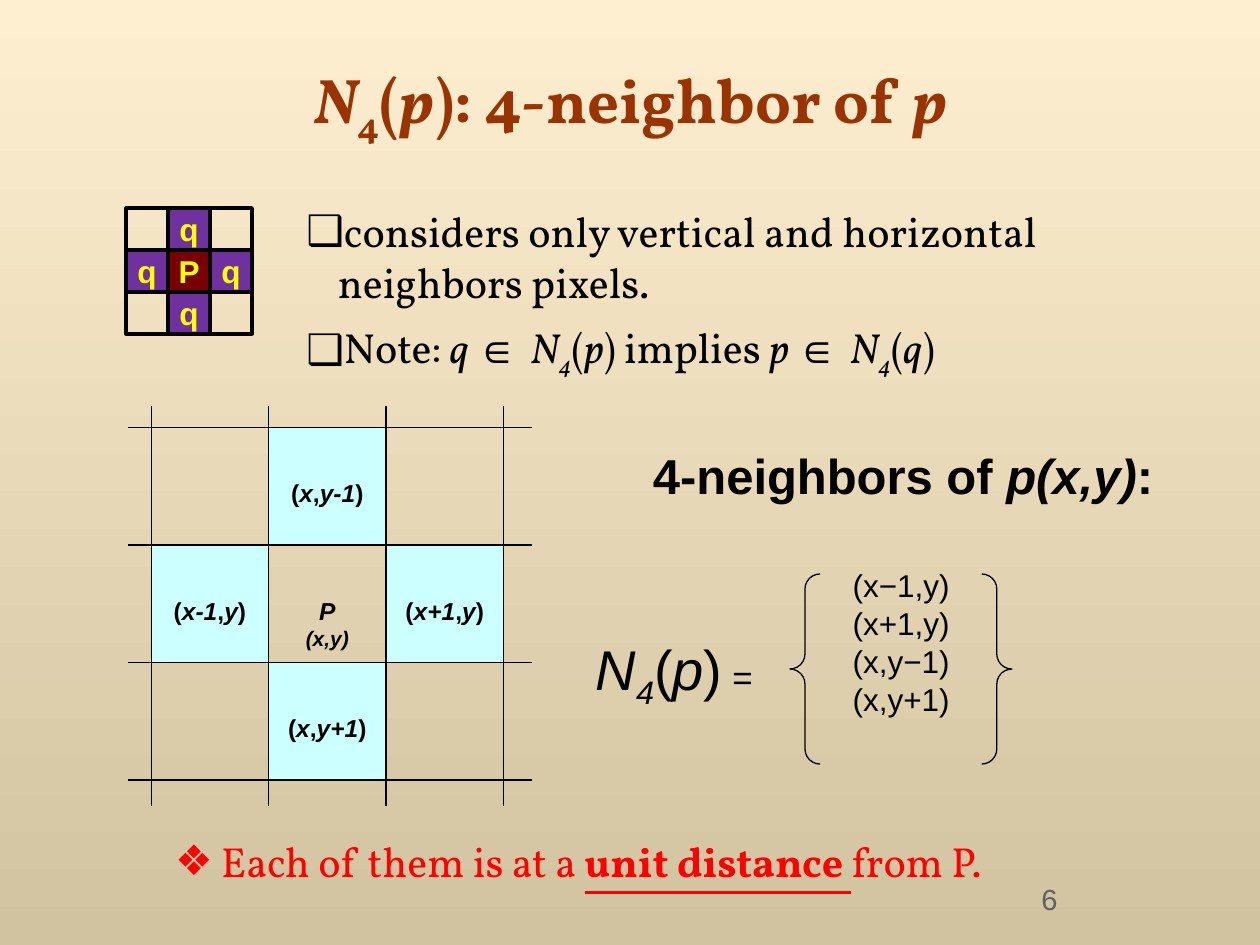
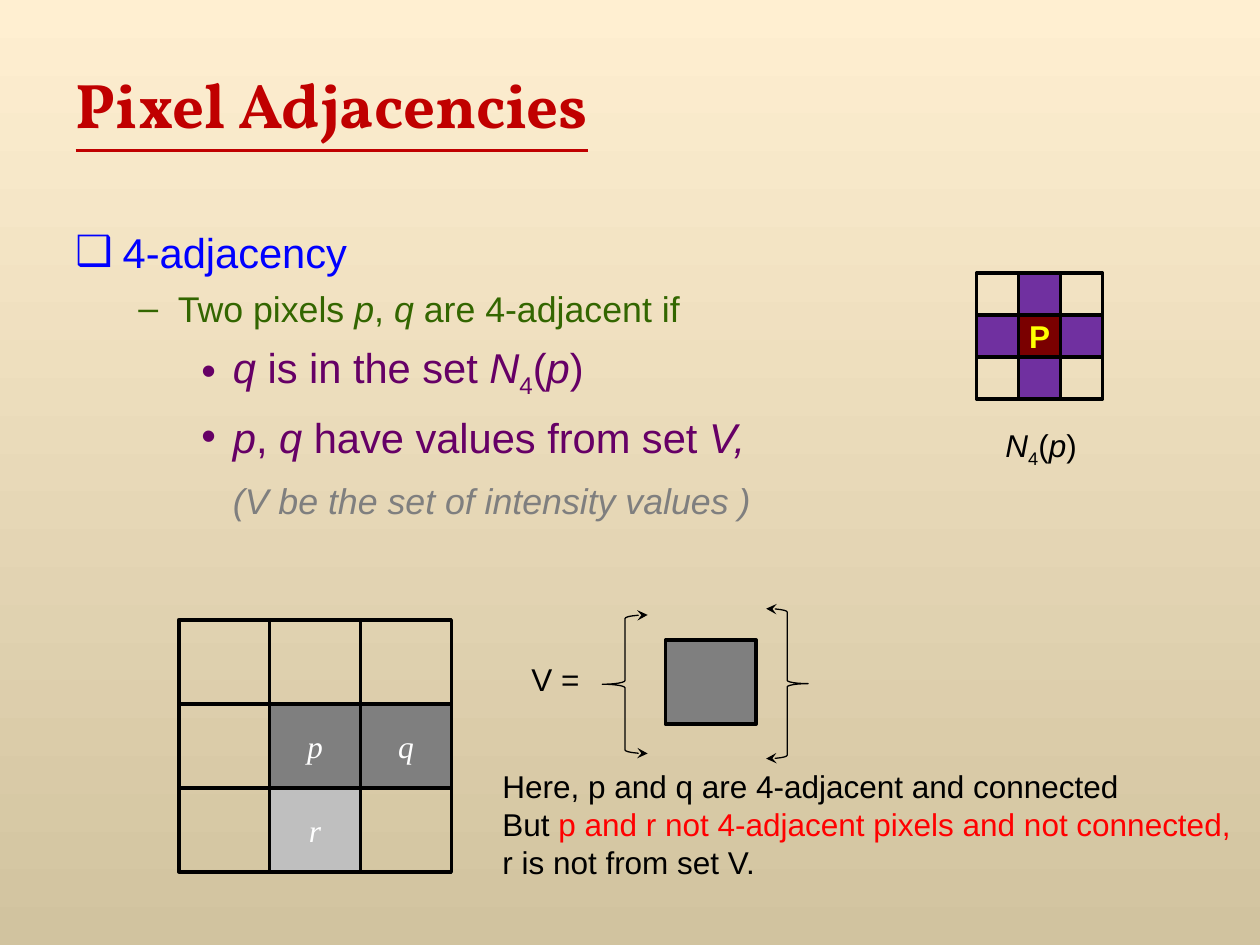
from dataclasses import dataclass, field
from itertools import product

from lxml.etree import SubElement
from pptx import Presentation
from pptx.dml.color import RGBColor
from pptx.enum.shapes import MSO_CONNECTOR, MSO_SHAPE
from pptx.enum.text import MSO_ANCHOR, MSO_AUTO_SIZE, PP_ALIGN
from pptx.oxml.ns import qn
from pptx.util import Pt

BLACK = RGBColor(0x00, 0x00, 0x00)
WHITE = RGBColor(0xFF, 0xFF, 0xFF)
RED = RGBColor(0xFF, 0x00, 0x00)
YELLOW = RGBColor(0xFF, 0xFF, 0x00)
BLUE = RGBColor(0x00, 0x00, 0xFF)
GREEN = RGBColor(0x33, 0x66, 0x00)
PLUM = RGBColor(0x66, 0x00, 0x66)
PURPLE = RGBColor(0x70, 0x30, 0xA0)
MAROON = RGBColor(0x7A, 0x00, 0x00)
BROWN = RGBColor(0x99, 0x33, 0x00)
CRIMSON = RGBColor(0xC0, 0x00, 0x00)
CYAN = RGBColor(0xCC, 0xFF, 0xFF)
GRAY = RGBColor(0x7F, 0x7F, 0x7F)
LIGHT_GRAY = RGBColor(0xBF, 0xBF, 0xBF)
NUMBER_GRAY = RGBColor(0x60, 0x60, 0x60)
CREAM = RGBColor(0xFF, 0xEF, 0xD1)
SAND = RGBColor(0xD1, 0xC3, 0x9F)

SERIF = "Vollkorn"
SANS = "Arial"
CENTER = PP_ALIGN.CENTER
LEFT = PP_ALIGN.LEFT
CROSS = [(0, -1), (-1, 0), (1, 0), (0, 1)]


@dataclass
class Style:
    size: float = 18
    name: str = SANS
    color: RGBColor = BLACK
    bold: bool = False


@dataclass
class Run:
    text: str
    italic: bool = False
    subscript: bool = False
    formats: dict = field(default_factory=dict)
    color: RGBColor | None = None


@dataclass
class Line:
    runs: list[Run]
    style: Style
    bullet: str = ""
    margin: float = 0
    hanging: float = 0
    space_before: float = 0
    level: int = 0


@dataclass
class Box:
    left: float
    top: float
    width: float
    height: float

    def lengths(self) -> list[Pt]:
        return [Pt(value) for value in (self.left, self.top, self.width, self.height)]


@dataclass
class Grid:
    left: float
    top: float
    cell_width: float
    cell_height: float

    def cell(self, column: int, row: int) -> Box:
        return Box(self.left + column * self.cell_width, self.top + row * self.cell_height,
                   self.cell_width, self.cell_height)


def italic(text: str) -> Run:
    return Run(text, italic=True)


def neighborhood(argument: str, italic_four: bool = False) -> list[Run]:
    return [italic("N"), Run("4", italic_four, True), Run("("), italic(argument), Run(")")]


def write(frame, lines: list[Line], alignment=LEFT) -> None:
    for index, line in enumerate(lines):
        paragraph = frame.paragraphs[0] if index == 0 else frame.add_paragraph()
        paragraph.alignment = alignment
        paragraph.level = line.level
        paragraph.space_before = Pt(line.space_before)
        properties = paragraph._p.get_or_add_pPr()
        properties.set("marL", str(Pt(line.margin)))
        properties.set("indent", str(-Pt(line.hanging)))
        if line.bullet:
            color = SubElement(properties, qn("a:buClr"))
            SubElement(color, qn("a:srgbClr"), val=str(line.style.color))
            SubElement(properties, qn("a:buFont"), typeface=SANS)
            SubElement(properties, qn("a:buChar"), char=line.bullet)
        else:
            SubElement(properties, qn("a:buNone"))
        for part in line.runs:
            run = paragraph.add_run()
            run.text = part.text
            formats = {"size": Pt(line.style.size), "name": line.style.name,
                       "bold": line.style.bold, "italic": part.italic} | part.formats
            for attribute, value in formats.items():
                setattr(run.font, attribute, value)
            run.font.color.rgb = part.color or line.style.color
            if part.subscript:
                run._r.get_or_add_rPr().set("baseline", "-25000")


def add_title(slide, runs: list[Run], color: RGBColor, alignment=LEFT) -> None:
    title = slide.shapes.title
    title.left, title.top, title.width, title.height = Box(36, 34, 648, 50).lengths()
    title.text_frame.auto_size = MSO_AUTO_SIZE.NONE
    title.text_frame.vertical_anchor = MSO_ANCHOR.MIDDLE
    write(title.text_frame, [Line(runs, Style(36, SERIF, color, True))], alignment)


def add_text(slide, box: Box, lines: list[Line], alignment=LEFT) -> None:
    frame = slide.shapes.add_textbox(*box.lengths()).text_frame
    frame.word_wrap = alignment == LEFT
    write(frame, lines, alignment)


def add_shape(slide, kind, box: Box, fill: RGBColor | None = None, line_width: float = 0):
    shape = slide.shapes.add_shape(kind, *box.lengths())
    shape.shadow.inherit = False
    if fill is None:
        shape.fill.background()
    else:
        shape.fill.solid()
        shape.fill.fore_color.rgb = fill
    if line_width:
        shape.line.color.rgb = BLACK
        shape.line.width = Pt(line_width)
    else:
        shape.line.fill.background()
    return shape


def add_cell(slide, box: Box, fill: RGBColor | None, lines: list[Line],
             line_width: float = 2, top_inset: float | None = None) -> None:
    frame = add_shape(slide, MSO_SHAPE.RECTANGLE, box, fill, line_width).text_frame
    frame.word_wrap = False
    for side in ("left", "top", "right", "bottom"):
        setattr(frame, f"margin_{side}", 0)
    frame.vertical_anchor = MSO_ANCHOR.MIDDLE
    if top_inset is not None:
        frame.margin_top = Pt(top_inset)
        frame.vertical_anchor = MSO_ANCHOR.TOP
    write(frame, lines, CENTER)


def add_cells(slide, grid: Grid, fills: dict, labels: dict, style: Style,
              slanted: bool = False) -> None:
    for row, column in product(range(3), repeat=2):
        place = (column, row)
        lines = [Line([Run(labels[place], slanted)], style)] if place in labels else []
        add_cell(slide, grid.cell(column, row), fills.get(place), lines)


def add_neighbor_mark(slide, left: float, top: float, neighbor: str = "") -> None:
    around = [(1 + dx, 1 + dy) for dx, dy in CROSS]
    fills = dict.fromkeys(around, PURPLE) | {(1, 1): MAROON}
    labels = (dict.fromkeys(around, neighbor) if neighbor else {}) | {(1, 1): "P"}
    add_cells(slide, Grid(left, top, 24, 24), fills, labels, Style(18, SANS, YELLOW, True))


def add_brace(slide, kind, box: Box, curve: float, arrows: bool = False) -> None:
    brace = add_shape(slide, kind, box, line_width=0.75)
    brace.adjustments[0] = curve
    if arrows:
        outline = brace._element.spPr.find(qn("a:ln"))
        for end in ("a:headEnd", "a:tailEnd"):
            SubElement(outline, qn(end), type="stealth")


def add_rule(slide, x1: float, y1: float, x2: float, y2: float) -> None:
    rule = slide.shapes.add_connector(MSO_CONNECTOR.STRAIGHT, Pt(x1), Pt(y1), Pt(x2), Pt(y2))
    rule.line.color.rgb = BLACK
    rule.line.width = Pt(0.75)
    SubElement(rule._element.spPr, qn("a:effectLst"))


def coordinate(variable: str, step: int) -> Run:
    return italic(f"{variable}{step:+d}" if step else variable)


def add_coordinate_grid(slide) -> None:
    grid = Grid(86.4, 244.2, 67.1, 67.2)
    label = Style(14, bold=True)
    for dx, dy in CROSS:
        runs = [Run("("), coordinate("x", dx), Run(","), coordinate("y", dy), Run(")")]
        add_cell(slide, grid.cell(1 + dx, 1 + dy), CYAN, [Line(runs, label)], 0, 29)
    center = [Line([italic("P")], label), Line([italic("(x,y)")], Style(12, bold=True))]
    add_cell(slide, grid.cell(1, 1), None, center, 0, 29)
    for index in range(4):
        corner = grid.cell(index, index)
        add_rule(slide, corner.left, 231.8, corner.left, 460.8)
        add_rule(slide, 73.4, corner.top, 303.8, corner.top)


def build_neighbors(slide) -> None:
    add_title(slide, neighborhood("p")[:-1] + [Run("): 4-neighbor of "), italic("p")],
              BROWN, CENTER)
    add_neighbor_mark(slide, 72, 118.8, "q")
    note = Style(24, SERIF)
    member = Run("∈ ", formats={"name": SANS})
    implication = [Run("Note: "), italic("q "), member, *neighborhood("p", True),
                   Run(" implies "), italic("p "), member, *neighborhood("q", True)]
    add_text(slide, Box(168, 114, 540, 106), [
        Line([Run("considers only vertical and horizontal neighbors pixels.")],
             note, "❑", 18, 18),
        Line(implication, note, "❑", 18, 18, 8.5)])
    add_coordinate_grid(slide)
    add_text(slide, Box(366, 251, 300, 41),
             [Line([Run("4-neighbors of "), italic("p(x,y)"), Run(":")],
                   Style(28, bold=True))], CENTER)
    equals = Run(" = ", formats={"size": Pt(20)})
    add_text(slide, Box(333, 359, 110, 51),
             [Line(neighborhood("p", True) + [equals], Style(32))], CENTER)
    for kind, left in ((MSO_SHAPE.LEFT_BRACE, 451.4), (MSO_SHAPE.RIGHT_BRACE, 561)):
        add_brace(slide, kind, Box(left, 328, 17.2, 108.6), 0.5)
    members = ("(x−1,y)", "(x+1,y)", "(x,y−1)", "(x,y+1)")
    add_text(slide, Box(480, 320, 70, 94),
             [Line([Run(text)], Style()) for text in members], CENTER)
    distance = [Run(" Each of them is at a "),
                Run("unit distance ", formats={"bold": True, "underline": True}),
                Run("from P.")]
    add_text(slide, Box(93, 474, 526, 36),
             [Line(distance, Style(24, SERIF, RED), "❖", 18, 18)])
    add_text(slide, Box(588, 500.4, 96, 29),
             [Line([Run("6")], Style(16.6, color=NUMBER_GRAY))])


def build_adjacencies(slide) -> None:
    add_title(slide, [Run("Pixel Adjacencies", formats={"underline": True})], CRIMSON)
    condition = Style(23.8, color=PLUM)
    add_text(slide, Box(36, 126, 500, 180), [
        Line([Run("4-adjacency")], Style(23.8, color=BLUE), "❑", 27, 27),
        Line([Run("Two pixels "), italic("p"), Run(", "), italic("q"),
              Run(" are 4-adjacent if")], Style(20.4, color=GREEN), "–", 58.5, 22.5, 6, 1),
        Line([italic("q"), Run(" is in the set "), *neighborhood("p")],
             condition, "•", 90, 18, 7, 2),
        Line([italic("p"), Run(", "), italic("q "), Run("have values from set "),
              italic("V,")], condition, "•", 90, 18, 7, 2),
        Line([italic("(V be the set of intensity values )")],
             Style(20.4, color=GRAY), margin=90, space_before=10, level=2)])
    add_neighbor_mark(slide, 558, 156)
    add_text(slide, Box(567.4, 240, 60, 32), [Line(neighborhood("p"), Style())])

    pixels = Grid(102.2, 354.2, 51.9, 48)
    add_cells(slide, pixels, {(1, 1): GRAY, (2, 1): GRAY, (1, 2): LIGHT_GRAY},
              {(1, 1): "p", (2, 1): "q", (1, 2): "r"},
              Style(18, "Times New Roman", WHITE), True)
    add_text(slide, Box(296.6, 373.7, 50, 29), [Line([Run("V =")], Style())])
    add_brace(slide, MSO_SHAPE.LEFT_BRACE, Box(344.2, 351.4, 25.9, 79.2), 0.08, True)
    add_brace(slide, MSO_SHAPE.RIGHT_BRACE, Box(437.8, 347.8, 24, 85.7), 0.08, True)
    add_cell(slide, Box(380.2, 365.8, pixels.cell_width, pixels.cell_height), GRAY, [])
    conclusion = [
        [Run("Here, p and q are 4-adjacent and connected")],
        [Run("But "), Run("p and r not 4-adjacent pixels and not connected,", color=RED)],
        [Run("r is not from set V.")]]
    add_text(slide, Box(280, 435, 438, 72), [Line(runs, Style()) for runs in conclusion])


def main() -> None:
    presentation = Presentation()
    presentation.slide_width, presentation.slide_height = Pt(720), Pt(540)
    background = presentation.slide_master.background.fill
    background.gradient()
    background.gradient_angle = 270
    for stop, color in zip(background.gradient_stops, (CREAM, SAND)):
        stop.color.rgb = color
    for build in (build_neighbors, build_adjacencies):
        build(presentation.slides.add_slide(presentation.slide_layouts[5]))
    presentation.save("out.pptx")


if __name__ == "__main__":
    main()
